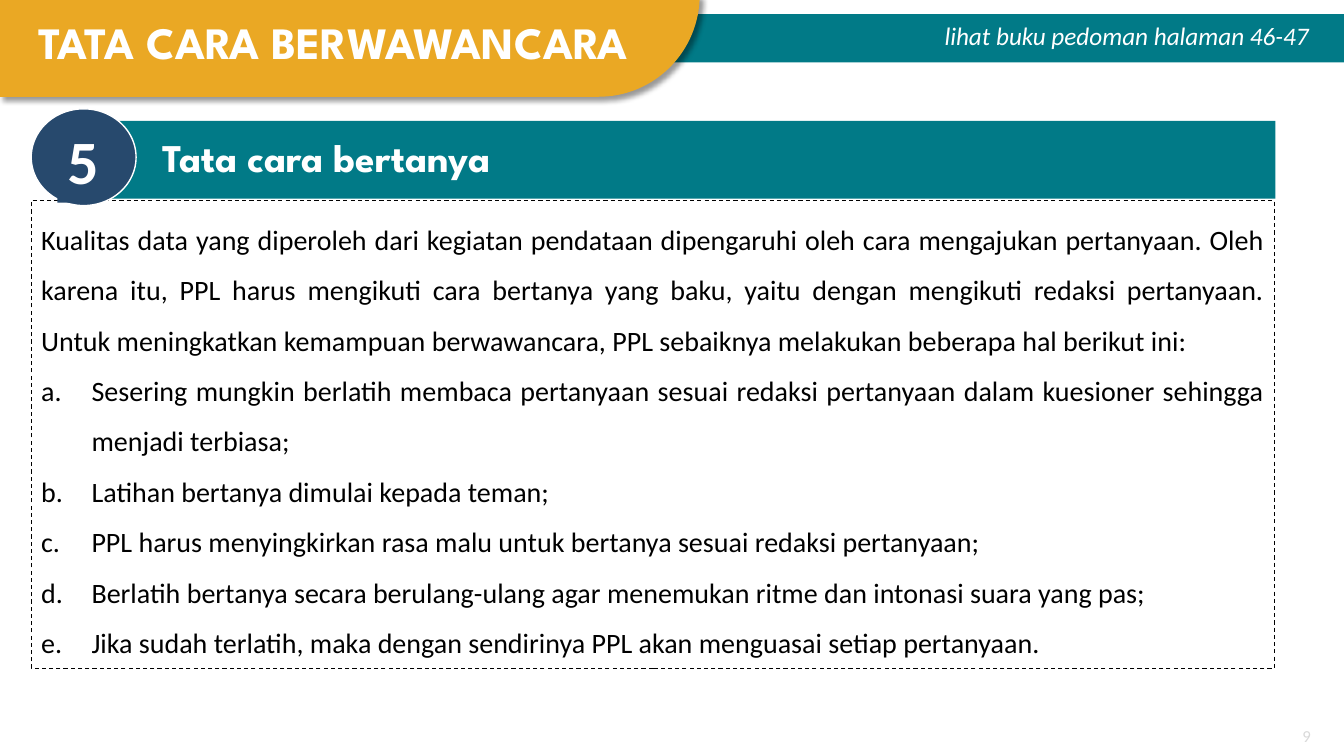
from dataclasses import dataclass
from math import cos, pi, sin
from typing import Optional

from lxml import etree
from pptx import Presentation
from pptx import util as u
from pptx.dml.color import RGBColor
from pptx.enum import dml, shapes, text
from pptx.oxml import ns

TEAL = RGBColor(0x01, 0x7A, 0x87)
AMBER = RGBColor(0xEA, 0xA8, 0x24)
NAVY = RGBColor(0x27, 0x49, 0x6D)
WHITE = RGBColor(0xFF, 0xFF, 0xFF)
BLACK = RGBColor(0, 0, 0)
PALE = RGBColor(0xD9, 0xD9, 0xD9)

BODY_FONT = "Calibri"
HEAD_FONT = "League Spartan"
RECT = shapes.MSO_SHAPE.RECTANGLE
OVAL = shapes.MSO_SHAPE.OVAL
ALIGN = text.PP_ALIGN
ANCHOR = text.MSO_ANCHOR

INTRO = (
    "Kualitas data yang diperoleh dari kegiatan pendataan dipengaruhi oleh cara "
    "mengajukan pertanyaan. Oleh karena itu, PPL harus mengikuti cara bertanya yang "
    "baku, yaitu dengan mengikuti redaksi pertanyaan. Untuk meningkatkan kemampuan "
    "berwawancara, PPL sebaiknya melakukan beberapa hal berikut ini:"
)
STEPS = (
    "Sesering mungkin berlatih membaca pertanyaan sesuai redaksi pertanyaan dalam "
    "kuesioner sehingga menjadi terbiasa;",
    "Latihan bertanya dimulai kepada teman;",
    "PPL harus menyingkirkan rasa malu untuk bertanya sesuai redaksi pertanyaan;",
    "Berlatih bertanya secara berulang-ulang agar menemukan ritme dan intonasi suara "
    "yang pas;",
    "Jika sudah terlatih, maka dengan sendirinya PPL akan menguasai setiap pertanyaan.",
)


@dataclass(frozen=True)
class Style:
    size: float
    color: RGBColor = WHITE
    font: str = BODY_FONT
    bold: bool = False
    italic: bool = False
    align: ALIGN = ALIGN.LEFT
    spacing: float = 1.0


@dataclass(frozen=True)
class Box:
    left: float
    top: float
    width: float
    height: float
    kind: Optional[shapes.MSO_SHAPE] = None  # None makes a text box
    fill: Optional[RGBColor] = None
    line: Optional[RGBColor] = None
    line_width: float = 1
    dash: bool = False
    lines: tuple[str, ...] = ()
    style: Style = Style(18)
    anchor: ANCHOR = ANCHOR.TOP
    inset: float = 0.1
    wrap: bool = True


TOP_BAR = Box(5.05, 0.14, 8.28, 0.48, RECT, TEAL)
CONTENT = (
    Box(9.27, 0.15, 3.86, 0.4, lines=("lihat buku pedoman halaman 46-47",),
        style=Style(18, italic=True), wrap=False),
    Box(0.31, 1.99, 12.33, 4.64, RECT, line=BLACK, line_width=0.75, dash=True,
        lines=(INTRO, *STEPS), style=Style(20, BLACK, align=ALIGN.JUSTIFY, spacing=1.5)),
    Box(0, 0.1, 6.61, 0.64, lines=("TATA CARA BERWAWANCARA",),
        style=Style(32, font=HEAD_FONT, bold=True, align=ALIGN.CENTER)),
    Box(1, 1.2, 11.65, 0.77, RECT, TEAL, lines=("Tata cara bertanya",),
        style=Style(28, font=HEAD_FONT, bold=True, spacing=0.9),
        anchor=ANCHOR.MIDDLE, inset=0.61),
    Box(0.31, 1.08, 1.04, 0.96, OVAL, NAVY, WHITE),
    Box(0.57, 1.17, 0.4, 0.84, RECT, NAVY, lines=("5",), style=Style(44, bold=True)),
    Box(12.6, 7.15, 0.5, 0.3, lines=("9",), style=Style(12, PALE, align=ALIGN.RIGHT),
        anchor=ANCHOR.MIDDLE),
)


def write_text(tf, box: Box) -> None:
    tf.word_wrap = box.wrap
    tf.vertical_anchor = box.anchor
    tf.margin_left = u.Inches(box.inset)
    tf.margin_right = u.Inches(0.1)
    tf.margin_top = tf.margin_bottom = u.Inches(0.05)
    style = box.style
    for i, line in enumerate(box.lines):
        p = tf.add_paragraph() if i else tf.paragraphs[0]
        p.alignment, p.line_spacing = style.align, style.spacing
        f = p.font
        f.name, f.size = style.font, u.Pt(style.size)
        f.bold, f.italic = style.bold, style.italic
        f.color.rgb = style.color
        p.add_run().text = line


def draw_box(slide, box: Box):
    place = [u.Inches(n) for n in (box.left, box.top, box.width, box.height)]
    if box.kind is None:
        sp = slide.shapes.add_textbox(*place)
    else:
        sp = slide.shapes.add_shape(box.kind, *place)
        sp.shadow.inherit = False
        if box.fill is None:
            sp.fill.background()
        else:
            sp.fill.solid()
            sp.fill.fore_color.rgb = box.fill
        if box.line is None:
            sp.line.fill.background()
        else:
            sp.line.color.rgb = box.line
            sp.line.width = u.Pt(box.line_width)
            if box.dash:
                sp.line.dash_style = dml.MSO_LINE.DASH
    if box.lines:
        write_text(sp.text_frame, box)
    return sp


def number_steps(paragraphs) -> None:
    """Letter the paragraphs a., b., c. with a hanging indent."""
    for p in paragraphs:
        pPr = p._p.get_or_add_pPr()
        pPr.set("marL", str(u.Inches(0.5)))
        pPr.set("indent", str(u.Inches(-0.5)))
        bullet = etree.Element(ns.qn("a:buAutoNum"), type="alphaLcPeriod")
        pPr.find(ns.qn("a:lnSpc")).addnext(bullet)


def draw_title_tab(slide) -> None:
    """Amber tab with a rounded lower right corner and a soft shadow."""
    left, top, right, bottom, steps = -0.01, -0.05, 6.94, 0.96, 32
    rx, ry = 1.0, bottom - top
    angles = [pi / 2 * i / steps for i in range(steps + 1)]
    arc = [(right - rx + rx * cos(a), top + ry * sin(a)) for a in angles]
    points = [(u.Inches(x), u.Inches(y)) for x, y in [*arc, (left, bottom)]]
    fb = slide.shapes.build_freeform(u.Inches(left), u.Inches(top))
    fb.add_line_segments(points, close=True)
    sp = fb.convert_to_shape()
    sp.fill.solid()
    sp.fill.fore_color.rgb = AMBER
    sp.line.fill.background()
    sp.shadow.inherit = False
    effects = sp._element.spPr.find(ns.qn("a:effectLst"))
    shadow = etree.SubElement(
        effects, ns.qn("a:outerShdw"), blurRad=str(u.Pt(4)), dist=str(u.Pt(3)),
        dir="2700000", algn="tl", rotWithShape="0")
    color = etree.SubElement(shadow, ns.qn("a:srgbClr"), val=str(BLACK))
    etree.SubElement(color, ns.qn("a:alpha"), val="40000")


def main() -> None:
    prs = Presentation()
    prs.slide_width, prs.slide_height = u.Inches(13.33), u.Inches(7.5)
    s = prs.slides.add_slide(prs.slide_layouts[6])

    # Header band
    draw_box(s, TOP_BAR)
    draw_title_tab(s)

    # Titles, body, badge and page number
    for box in CONTENT:
        sp = draw_box(s, box)
        if box.lines[1:] == STEPS:
            number_steps(sp.text_frame.paragraphs[1:])

    prs.save("out.pptx")


if __name__ == "__main__":
    main()
